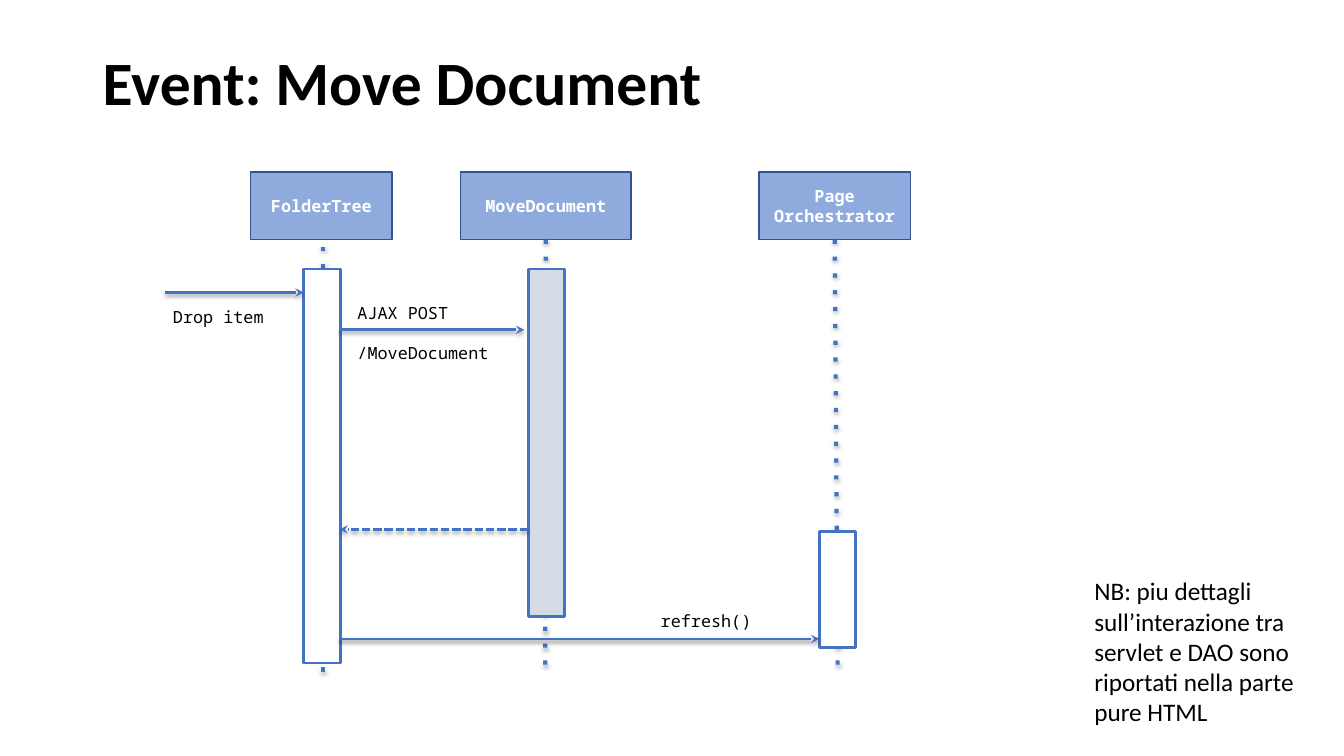
from lxml import etree
from pptx import Presentation
from pptx.dml.color import RGBColor
from pptx.enum.shapes import MSO_CONNECTOR, MSO_SHAPE
from pptx.enum.text import MSO_ANCHOR, PP_ALIGN
from pptx.oxml.ns import qn
from pptx.util import Cm, Pt

RECTANGLE = MSO_SHAPE.RECTANGLE
STRAIGHT = MSO_CONNECTOR.STRAIGHT
LEFT, CENTER = PP_ALIGN.LEFT, PP_ALIGN.CENTER
TOP, MIDDLE = MSO_ANCHOR.TOP, MSO_ANCHOR.MIDDLE
BOTTOM_SIDE = 2


def color(value):
    return RGBColor.from_string(value)


class SequencePage:
    """Draws the parts of a sequence diagram on one slide."""

    sans, mono = "Calibri", "Noto Sans Mono"
    blue, border, head_fill = "4472C4", "325491", "8FAADC"
    black, white = "000000", "FFFFFF"

    def __init__(self, page):
        self.page = page

    def fill_text(self, box, lines, font, size, ink, bold=False, align=LEFT,
                  anchor=TOP, insets=(0.3, 0.15), gap=0, spacing=1.0):
        frame = box.text_frame
        frame.word_wrap = True
        frame.vertical_anchor = anchor
        frame.margin_left = frame.margin_right = Cm(insets[0])
        frame.margin_top = frame.margin_bottom = Cm(insets[1])
        for index, line in enumerate(lines):
            para = frame.add_paragraph() if index else frame.paragraphs[0]
            para.alignment = align
            para.line_spacing = spacing
            para.space_before = Pt(gap if index else 0)
            span = para.add_run()
            span.text = line
            span.font.name = font
            span.font.size = Pt(size)
            span.font.bold = bold
            span.font.color.rgb = color(ink)

    def text(self, place, lines, font, size, **style):
        box = self.page.shapes.add_textbox(*map(Cm, place))
        self.fill_text(box, lines, font, size, self.black, **style)

    def label(self, place, lines, **style):
        self.text(place, lines, self.mono, 12, **style)

    def rectangle(self, place, fill, line, width):
        box = self.page.shapes.add_shape(RECTANGLE, *map(Cm, place))
        box.shadow.inherit = False
        box.fill.solid()
        box.fill.fore_color.rgb = color(fill)
        box.line.color.rgb = color(line)
        box.line.width = Pt(width)
        return box

    def head(self, left, width, lines):
        box = self.rectangle((left, 4.34, width, 1.7), self.head_fill, self.border, 1)
        self.fill_text(box, lines, self.mono, 12, self.white, bold=True,
                       align=CENTER, anchor=MIDDLE)
        return box

    def line(self, start, end, width, opacity, distance, dash=None, arrow=False):
        connector = self.page.shapes.add_connector(STRAIGHT, *map(Cm, start + end))
        connector.line.color.rgb = color(self.blue)
        connector.line.width = Pt(width)
        properties = connector._element.spPr
        outline = properties.find(qn("a:ln"))
        if dash:
            etree.SubElement(outline, qn("a:prstDash"), val=dash)
        if arrow:
            etree.SubElement(outline, qn("a:tailEnd"), type="stealth")
        effects = etree.SubElement(properties, qn("a:effectLst"))
        shadow = etree.SubElement(
            effects, qn("a:outerShdw"), blurRad=str(Pt(3.1)), dist=str(Pt(distance)),
            dir="5400000", rotWithShape="0")
        tint = etree.SubElement(shadow, qn("a:srgbClr"), val=self.black)
        etree.SubElement(tint, qn("a:alpha"), val=str(opacity * 1000))
        return connector

    def lifeline(self, start, end):
        return self.line(start, end, 3, 35, 1.8, dash="dot")

    def message(self, start, end, y, dash=None):
        self.line((start, y), (end, y), 2, 38, 1.6, dash, arrow=True)


def main():
    deck = Presentation()
    deck.slide_width, deck.slide_height = Cm(33.87), Cm(19.05)
    diagram = SequencePage(deck.slides.add_slide(deck.slide_layouts[6]))

    diagram.text((2.34, 1.02, 29.21, 2.26), ["Event: Move Document"], diagram.sans, 44,
                 bold=True, anchor=MIDDLE, insets=(0.25, 0.13), spacing=0.9)

    participants = [
        (["FolderTree"], 6.32, 3.56, (8.13, 6.22), (8.13, 17.12),
         (7.65, 6.78, 0.94, 9.93), diagram.white, False),
        (["MoveDocument"], 11.61, 4.29, (13.74, 6.05), (13.74, 16.89),
         (13.31, 6.78, 0.91, 8.76), "D6DCE5", True),
        (["Page", "Orchestrator"], 19.13, 3.81, (21.03, 6.05), (21.11, 16.89),
         (20.65, 13.39, 0.91, 2.92), diagram.white, True),
    ]
    for name, left, width, start, end, bar, fill, joined in participants:
        head = diagram.head(left, width, name)
        lifeline = diagram.lifeline(start, end)
        if joined:
            lifeline.begin_connect(head, BOTTOM_SIDE)
        diagram.rectangle(bar, fill, diagram.blue, 2)

    diagram.message(4.17, 7.65, 7.37)
    diagram.message(8.56, 13.21, 8.31)
    diagram.message(13.31, 8.56, 13.34, dash="sysDash")
    diagram.message(8.56, 20.65, 16.1)

    diagram.label((4.06, 7.59, 3.25, 1.19), ["Drop item"])
    diagram.label((8.71, 7.49, 4.29, 3), ["AJAX POST", "/MoveDocument"], gap=14)
    diagram.label((15.52, 15.24, 4.55, 0.86), ["refresh()"], align=CENTER)

    note = ("NB: piu dettagli sull’interazione tra servlet e DAO sono "
            "riportati nella parte pure HTML")
    diagram.text((27.33, 14.38, 5.97, 4.11), [note], diagram.sans, 18, insets=(0.25, 0.13))

    deck.save("out.pptx")


if __name__ == "__main__":
    main()
